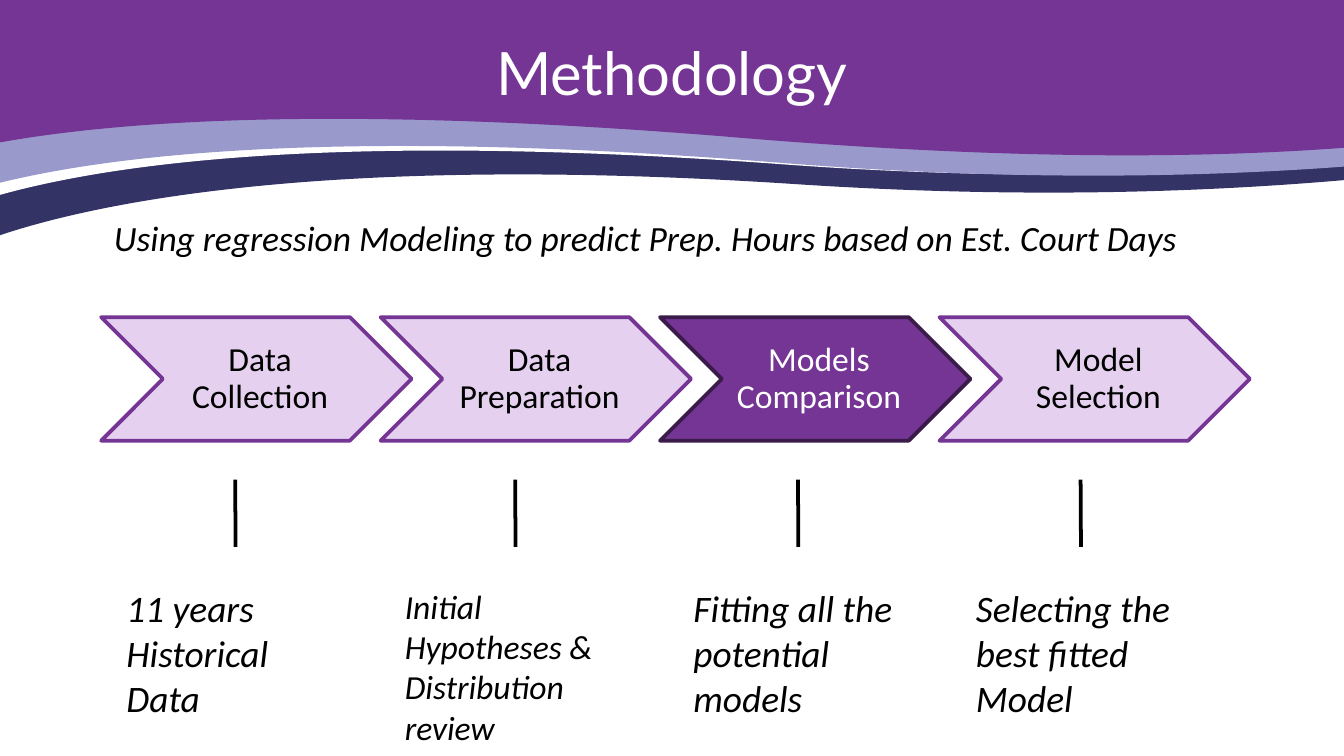
from dataclasses import dataclass

import lxml.etree
import pptx
import pptx.dml.color
import pptx.enum.shapes
import pptx.enum.text
import pptx.oxml
import pptx.oxml.ns
import pptx.util

Pt = pptx.util.Pt
qn = pptx.oxml.ns.qn
Align = pptx.enum.text.PP_ALIGN
Anchor = pptx.enum.text.MSO_ANCHOR
AutoSize = pptx.enum.text.MSO_AUTO_SIZE

COLORS = {
    "navy": "333366",
    "white": "FFFFFF",
    "lilac": "9999CC",
    "purple": "743594",
    "pale": "E5D1EF",
    "plum": "3A1B4A",
    "black": "000000",
}
SLIDE_WIDTH, SLIDE_HEIGHT = 720, 405
STEP_LEFT, STEP_TOP, STEP_PITCH = 54.2, 169.9, 149.7
STEP_WIDTH, STEP_HEIGHT = 166.3, 66.2
TICK_TOP, TICK_BOTTOM = 257, 293
DETAIL_TOP, DETAIL_WIDTH = 310.2, 131.8
UNITS_PER_POINT = 100

Point = tuple[float, float]


@dataclass
class Wave:
    """Header band whose lower edge is two joined Bezier curves."""
    color: str
    edge: list[Point]


@dataclass
class Step:
    label: str
    detail: str
    tick_x: float
    detail_left: float
    detail_height: float = 80
    detail_size: float = 20
    fill: str = "pale"
    line: str = "purple"
    text: str = "black"


WAVES = [
    Wave("navy", [(720, 96.5), (644.4, 103), (546.5, 106.6), (425.5, 98.6),
                  (184.3, 82.8), (58.3, 106.6), (0, 126)]),
    Wave("white", [(720, 87.1), (643.7, 93.6), (541.4, 97.2), (416.2, 87.8),
                   (178.6, 70.6), (59.8, 87.8), (0, 104.4)]),
    Wave("lilac", [(720, 89.3), (643, 95), (540.7, 97.2), (416.2, 87.1),
                   (182.2, 68.4), (61.9, 82.8), (0, 97.9)]),
    Wave("purple", [(720, 79.2), (641.5, 85), (537.1, 85.7), (391.7, 73.4),
                    (181.4, 56.2), (64.1, 64.8), (0, 76.3)]),
]
STEPS = [
    Step("Data Collection", "11 years Historical Data", 126, 60.7),
    Step("Data Preparation", "Initial Hypotheses & Distribution review",
         276, 209.8, detail_height=94.3, detail_size=18),
    Step("Models Comparison", "Fitting all the potential models", 427.5, 364.4,
         fill="purple", line="plum", text="white"),
    Step("Model Selection", "Selecting the best fitted Model", 578.9, 515.8),
]


def rgb(name: str) -> pptx.dml.color.RGBColor:
    return pptx.dml.color.RGBColor.from_string(COLORS[name])


def apply_format(target, values: dict) -> None:
    for name, value in values.items():
        setattr(target, name, value)


def write_text(shape, text: str, size: float, color: str, frame_format: dict,
               paragraph_format: dict, font_format: dict) -> None:
    frame = shape.text_frame
    apply_format(frame, {"word_wrap": True, **frame_format})
    paragraph = frame.paragraphs[0]
    apply_format(paragraph, paragraph_format)
    run = paragraph.add_run()
    run.text = text
    apply_format(run.font, {"name": "Calibri", "size": Pt(size), **font_format})
    run.font.color.rgb = rgb(color)


def add_text_box(slide, box: tuple[float, float, float, float], text: str, size: float,
                 color: str, frame_format: dict, paragraph_format: dict,
                 font_format: dict) -> None:
    shape = slide.shapes.add_textbox(*map(Pt, box))
    write_text(shape, text, size, color, frame_format, paragraph_format, font_format)


def add_italic_text(slide, box: tuple[float, float, float, float], text: str, size: float,
                    alignment=Align.LEFT) -> None:
    add_text_box(slide, box, text, size, "black", {"auto_size": AutoSize.SHAPE_TO_FIT_TEXT},
                 {"alignment": alignment}, {"italic": True})


def bend_lines(shape, first: int, count: int) -> None:
    """Turn each three of the given line segments into one cubic Bezier curve."""
    lines = list(shape._element.iter(qn("a:lnTo")))[first:first + count]
    for start in range(0, count, 3):
        curve = lxml.etree.Element(qn("a:cubicBezTo"))
        lines[start].addprevious(curve)
        for line in lines[start:start + 3]:
            curve.append(line[0])
            line.getparent().remove(line)


def add_wave(slide, wave: Wave) -> None:
    corners = [(SLIDE_WIDTH, 0), *wave.edge, (0, 0)]
    points = [(round(x * UNITS_PER_POINT), round(y * UNITS_PER_POINT)) for x, y in corners]
    builder = slide.shapes.build_freeform(*points[0], scale=Pt(1) / UNITS_PER_POINT)
    builder.add_line_segments(points[1:], close=True)
    shape = builder.convert_to_shape()
    bend_lines(shape, first=1, count=6)
    shape.shadow.inherit = False
    shape.fill.solid()
    shape.fill.fore_color.rgb = rgb(wave.color)
    shape.line.fill.background()


def add_chevron(slide, step: Step, left: float) -> None:
    shape = slide.shapes.add_shape(
        pptx.enum.shapes.MSO_SHAPE.CHEVRON,
        Pt(left), Pt(STEP_TOP), Pt(STEP_WIDTH), Pt(STEP_HEIGHT))
    shape.shadow.inherit = False
    shape.fill.solid()
    shape.fill.fore_color.rgb = rgb(step.fill)
    shape.line.color.rgb = rgb(step.line)
    shape.line.width = Pt(2)
    write_text(shape, step.label, 18, step.text,
               {"vertical_anchor": Anchor.MIDDLE, "margin_left": Pt(6), "margin_right": Pt(2),
                "margin_top": Pt(2), "margin_bottom": Pt(2)},
               {"alignment": Align.CENTER, "line_spacing": 0.9}, {})


def add_tick(slide, step: Step) -> None:
    connector = slide.shapes.add_connector(
        pptx.enum.shapes.MSO_CONNECTOR.STRAIGHT,
        Pt(step.tick_x + 0.2), Pt(TICK_BOTTOM), Pt(step.tick_x), Pt(TICK_TOP))
    connector.line.color.rgb = rgb("black")
    connector.line.width = Pt(2)
    lxml.etree.SubElement(connector._element.spPr, qn("a:effectLst"))


def main() -> None:
    presentation = pptx.Presentation()
    presentation.slide_width = Pt(SLIDE_WIDTH)
    presentation.slide_height = Pt(SLIDE_HEIGHT)
    slide = presentation.slides.add_slide(presentation.slide_layouts[6])

    for wave in WAVES:
        add_wave(slide, wave)
    add_text_box(slide, (36, 4.3, 648, 67.7), "Methodology", 32, "white",
                 {"vertical_anchor": Anchor.MIDDLE}, {"alignment": Align.CENTER},
                 {"name": "Lato"})
    for index, step in enumerate(STEPS):
        add_chevron(slide, step, STEP_LEFT + index * STEP_PITCH)
        add_tick(slide, step)
        add_italic_text(slide, (step.detail_left, DETAIL_TOP, DETAIL_WIDTH, step.detail_height),
                        step.detail, step.detail_size)
    add_italic_text(slide, (54, 112.3, 617, 30.2),
                    "Using regression Modeling to predict Prep. Hours based on Est. Court Days",
                    19, Align.JUSTIFY)
    presentation.save("out.pptx")


if __name__ == "__main__":
    main()
